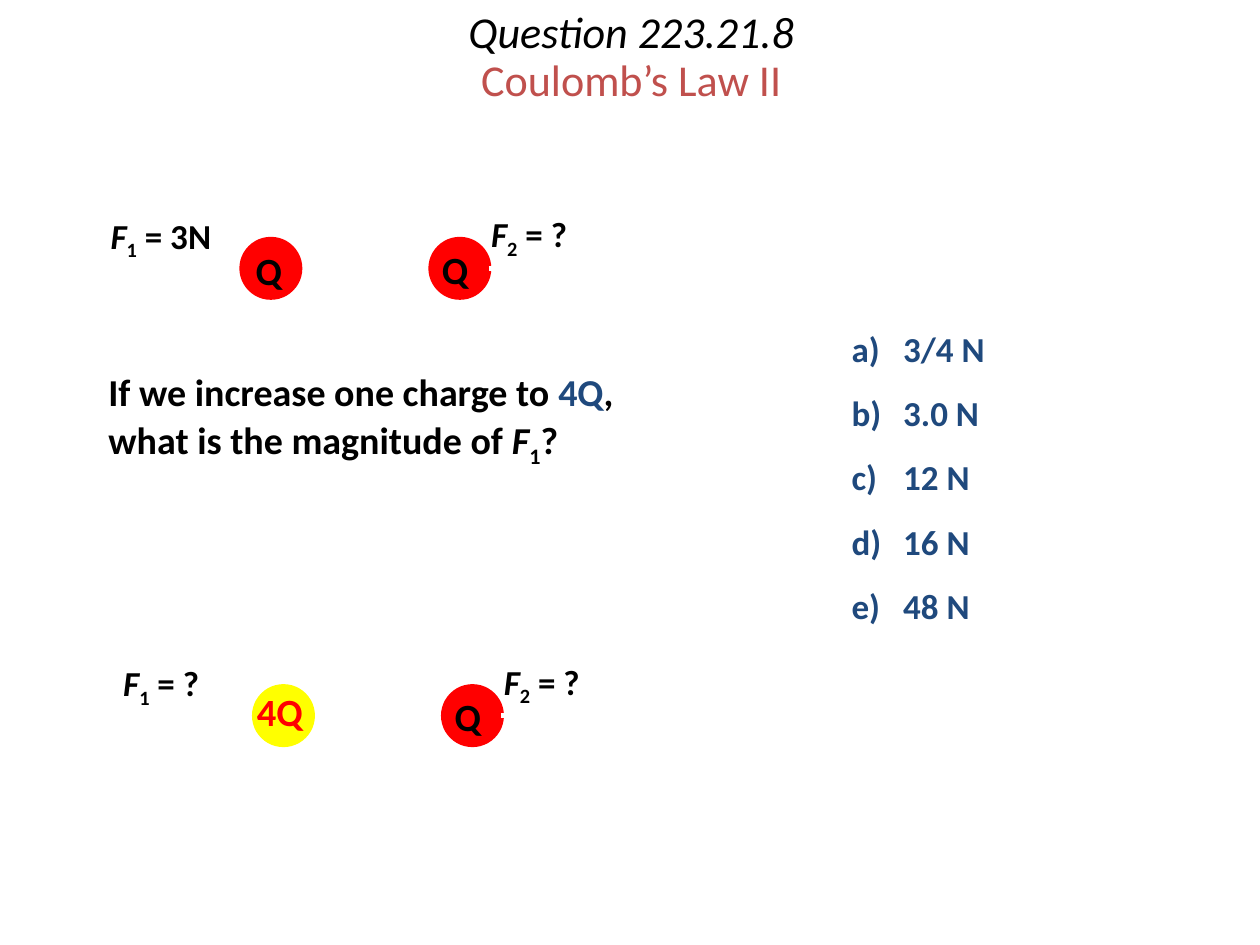
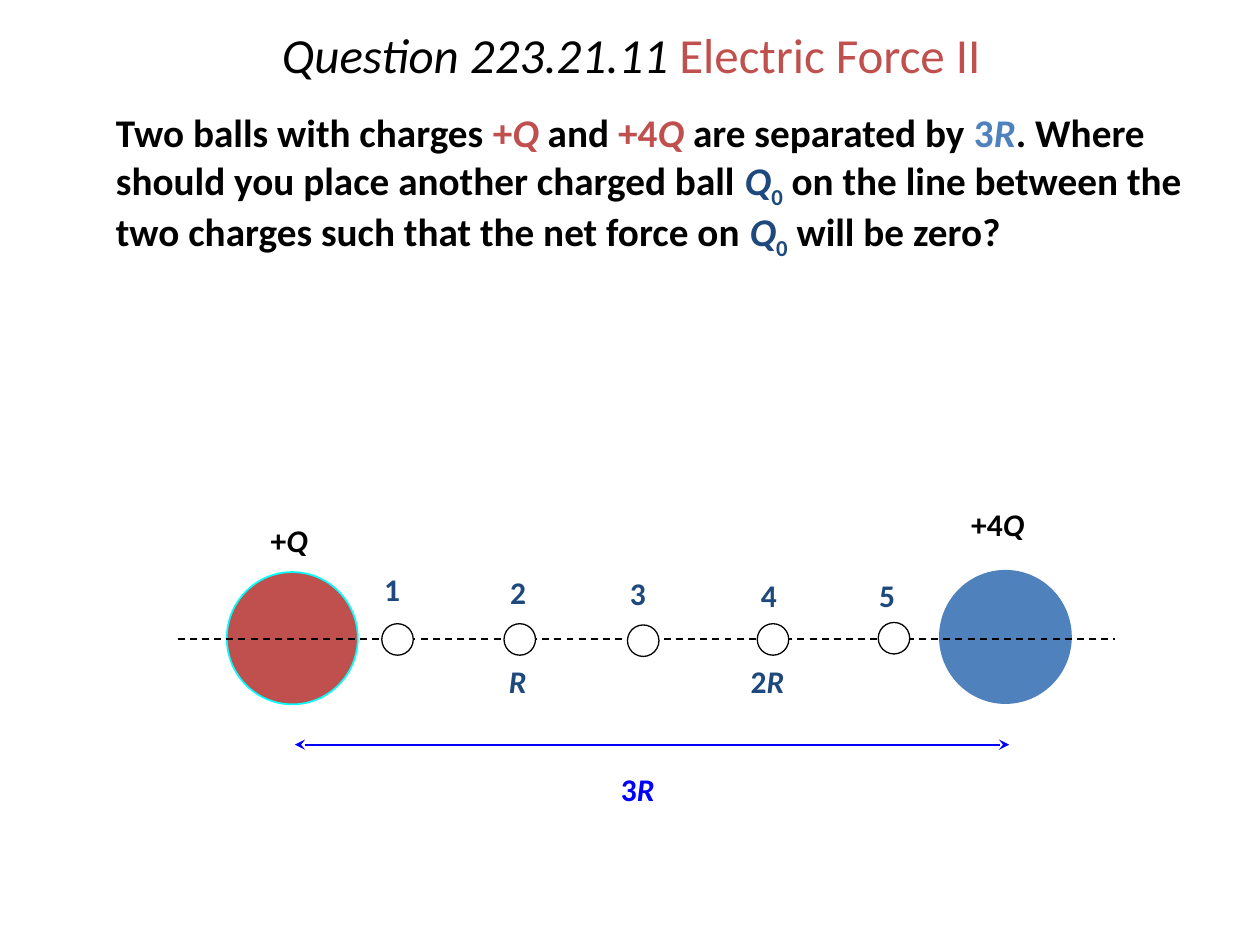
from dataclasses import dataclass
from typing import NamedTuple, Optional

from lxml.etree import SubElement
from pptx import Presentation
from pptx.dml.color import RGBColor
from pptx.enum.dml import MSO_LINE_DASH_STYLE as DASH
from pptx.enum.shapes import MSO_CONNECTOR as CONNECTOR, MSO_SHAPE as SHAPE
from pptx.enum.text import MSO_ANCHOR as ANCHOR, MSO_AUTO_SIZE as AUTO, PP_ALIGN as ALIGN
from pptx.oxml.ns import qn
from pptx.util import Inches, Pt

FONT = "Calibri"
BLACK, WHITE, NAVY = "000000", "FFFFFF", "1F497D"
BRICK, STEEL = "C0504D", "4F81BD"
RED, YELLOW, BLUE, CYAN = "FF0000", "FFFF00", "0000FF", "00FFFF"


class Span(NamedTuple):
    """A stretch of text in one format."""
    text: str
    color: str = BLACK
    italic: bool = False
    sub: bool = False


class Box(NamedTuple):
    left: float
    top: float
    width: float
    height: float


@dataclass
class Label:
    box: Box
    spans: list[Span]


@dataclass
class ChargePair:
    """Two equal balls; left and top locate the left one."""
    left: float
    top: float
    fill: str
    charge: Label  # box relative to left and top
    force: str
    force_width: float


@dataclass
class Ball:
    box: Box
    fill: str
    line: Optional[str] = None
    width: float = 1


CHARGE_PAIRS = [
    ChargePair(1.9, 1.88, RED, Label(Box(0.03, 0.03, 0.44, 0.47), [Span("Q")]), "3N", 1.14),
    ChargePair(2, 5.43, YELLOW, Label(Box(-0.06, -0.02, 0.61, 0.47), [Span("4Q", RED)]), "?", 0.96),
]
ANSWERS = ["3/4 N", "3.0 N", "12 N", "16 N", "48 N"]

BIG_BALLS = [
    Ball(Box(7.46, 4.53, 1.04, 1.05), STEEL, STEEL),
    Ball(Box(1.8, 4.54, 1.04, 1.05), BRICK, CYAN),
]
POSITION_DOTS = [(3.03, 4.95), (4, 4.95), (4.98, 4.96), (6.01, 4.95), (6.97, 4.94)]
POSITION_NUMBERS = [(2.95, 4.51), (3.95, 4.53), (4.9, 4.54), (5.94, 4.56), (6.88, 4.56)]
DIAGRAM_LABELS = [
    Label(Box(2.05, 4.12, 0.54, 0.37), [Span("+"), Span("Q", italic=True)]),
    Label(Box(7.61, 3.99, 0.68, 0.37), [Span("+4"), Span("Q", italic=True)]),
    Label(Box(3.94, 5.24, 0.38, 0.37), [Span("R", NAVY, True)]),
    Label(Box(5.86, 5.24, 0.52, 0.37), [Span("2", NAVY), Span("R", NAVY, True)]),
    Label(Box(4.83, 6.1, 0.52, 0.37), [Span("3", BLUE), Span("R", BLUE, True)]),
]


def rgb(color: str) -> RGBColor:
    return RGBColor.from_string(color)


def inches(values) -> list:
    return [Inches(v) for v in values]


def format_run(r, span: Span, size: float, bold: bool) -> None:
    r.font.name, r.font.size = FONT, Pt(size)
    r.font.bold, r.font.italic = bold, span.italic
    r.font.color.rgb = rgb(span.color)
    if span.sub:
        r.font._element.set("baseline", "-25000")


def add_spans(p, spans: list[Span], size: float, bold: bool = True) -> None:
    for span in spans:
        r = p.add_run()
        r.text = span.text
        format_run(r, span, size, bold)


def add_text(s, label: Label, size: float, spacing: float = 1, wrap: bool = False):
    sp = s.shapes.add_textbox(*inches(label.box))
    tf = sp.text_frame
    tf.word_wrap = wrap
    tf.auto_size = AUTO.NONE if wrap else AUTO.SHAPE_TO_FIT_TEXT
    p = tf.paragraphs[0]
    p.line_spacing = spacing
    add_spans(p, label.spans, size)
    return tf


def add_question(s, label: Label, size: float, spacing: float) -> None:
    tf = add_text(s, label, size, spacing, wrap=True)
    tf.margin_left = Inches(0.54)


def add_ball(s, ball: Ball) -> None:
    sp = s.shapes.add_shape(SHAPE.OVAL, *inches(ball.box))
    sp.shadow.inherit = False
    sp.fill.solid()
    sp.fill.fore_color.rgb = rgb(ball.fill)
    if ball.line:
        sp.line.color.rgb = rgb(ball.line)
        sp.line.width = Pt(ball.width)
    else:
        sp.line.fill.background()


def add_line(s, x1: float, x2: float, y: float, color: str, width: float = 1,
             head: str = "", tail: str = "", dashed: bool = False) -> None:
    """Draw a horizontal line with optional arrowheads at x1 (head) and x2 (tail)."""
    cx = s.shapes.add_connector(CONNECTOR.STRAIGHT, *inches((x1, y, x2, y)))
    cx.line.color.rgb = rgb(color)
    cx.line.width = Pt(width)
    if dashed:
        cx.line.dash_style = DASH.DASH
    ln = cx.line._get_or_add_ln()
    for tag, kind in (("a:headEnd", head), ("a:tailEnd", tail)):
        if kind:
            SubElement(ln, qn(tag), type=kind)
    SubElement(cx._element.spPr, qn("a:effectLst"))


def add_slide(prs, number: str, topic: str, size: float, two_lines: bool = False):
    s = prs.slides.add_slide(prs.slide_layouts[5])
    title = s.shapes.title
    title.left, title.top, title.width, title.height = inches((1.02, 0, 7.98, 0.92))
    tf = title.text_frame
    tf.word_wrap, tf.auto_size = True, AUTO.NONE
    tf.vertical_anchor = ANCHOR.MIDDLE
    p = tf.paragraphs[0]
    p.alignment, p.line_spacing = ALIGN.CENTER, 0.9
    question = f"Question {number}"
    add_spans(p, [Span(question if two_lines else question + " ", italic=True)], size, False)
    if two_lines:
        p.add_line_break()
    add_spans(p, [Span(topic, BRICK)], size, False)
    return s


def add_force(s, index: int, value: str, box: Box) -> None:
    spans = [Span("F", italic=True), Span(str(index), sub=True), Span(f" = {value}")]
    add_text(s, Label(box, spans), 20)


def add_charge_pair(s, pair: ChargePair) -> None:
    x, y = pair.left, pair.top
    add_ball(s, Ball(Box(x, y, 0.5, 0.5), pair.fill))
    add_ball(s, Ball(Box(x + 1.5, y, 0.5, 0.5), RED))
    add_line(s, x + 1.98, x + 2.9, y + 0.25, WHITE, 3, tail="triangle")
    dx, dy, width, height = pair.charge.box
    add_text(s, Label(Box(x + dx, y + dy, width, height), pair.charge.spans), 22)
    add_text(s, Label(Box(x + 1.51, y + 0.02, 0.44, 0.47), [Span("Q")]), 22)
    add_force(s, 1, pair.force, Box(x - 1.12, y - 0.23, pair.force_width, 0.43))
    add_force(s, 2, "?", Box(x + 1.9, y - 0.24, 0.96, 0.43))


def add_answers(s) -> None:
    sp = s.shapes.add_textbox(*inches((6.66, 2.45, 2.28, 2.64)))
    tf = sp.text_frame
    tf.word_wrap = True
    tf.margin_top = Inches(0.15)
    tf.text = "\n".join(f"{letter})\t{answer}" for letter, answer in zip("abcde", ANSWERS))
    for i, p in enumerate(tf.paragraphs):
        pPr = p._p.get_or_add_pPr()
        pPr.set("marL", str(Inches(0.41)))
        pPr.set("indent", str(-Inches(0.41)))
        p.line_spacing = 1.3
        p.space_before = Pt(5.5 if i else 0)
        for r in p.runs:
            format_run(r, Span(r.text, NAVY), 20, True)
    tf.margin_top = Inches(0.05)


def build_coulomb_slide(prs) -> None:
    s = add_slide(prs, "223.21.8", "Coulomb’s Law II", 25.2, two_lines=True)
    add_question(s, Label(Box(0.32, 2.86, 4.88, 1.11), [
        Span("If we increase one charge to "), Span("4Q", NAVY),
        Span(", what is the magnitude of "), Span("F", italic=True),
        Span("1", sub=True), Span("?"),
    ]), 21.7, 1.05)
    add_answers(s)
    for pair in CHARGE_PAIRS:
        add_charge_pair(s, pair)


def build_force_slide(prs) -> None:
    s = add_slide(prs, "223.21.11", "Electric Force II", 28)
    test_charge = [Span("Q", NAVY, True), Span("0", NAVY, sub=True)]
    add_question(s, Label(Box(0.38, 0.84, 9.25, 1.33), [
        Span("Two balls with charges "), Span("+", BRICK), Span("Q", BRICK, True),
        Span(" and "), Span("+4", BRICK), Span("Q", BRICK, True),
        Span(" are separated by "), Span("3", STEEL), Span("R", STEEL, True),
        Span(". Where should you place another charged ball "), *test_charge,
        Span(" on the line between the two charges such that the net force on "),
        *test_charge, Span(" will be zero?"),
    ]), 22.4, 0.95)
    for ball in BIG_BALLS:
        add_ball(s, ball)
    add_line(s, 1.41, 8.85, 5.07, BLACK, dashed=True)
    add_line(s, 2.34, 8.01, 5.91, BLUE, head="stealth", tail="stealth")
    for x, y in POSITION_DOTS:
        add_ball(s, Ball(Box(x, y, 0.25, 0.25), WHITE, BLACK, 0.75))
    numbers = [Label(Box(x, y, 0.34, 0.37), [Span(str(n), NAVY)])
               for n, (x, y) in enumerate(POSITION_NUMBERS, 1)]
    for label in DIAGRAM_LABELS + numbers:
        add_text(s, label, 18, 0.9)


def main() -> None:
    prs = Presentation()
    prs.slide_width, prs.slide_height = Inches(10), Inches(7.5)
    build_coulomb_slide(prs)
    build_force_slide(prs)
    prs.save("out.pptx")


if __name__ == "__main__":
    main()
